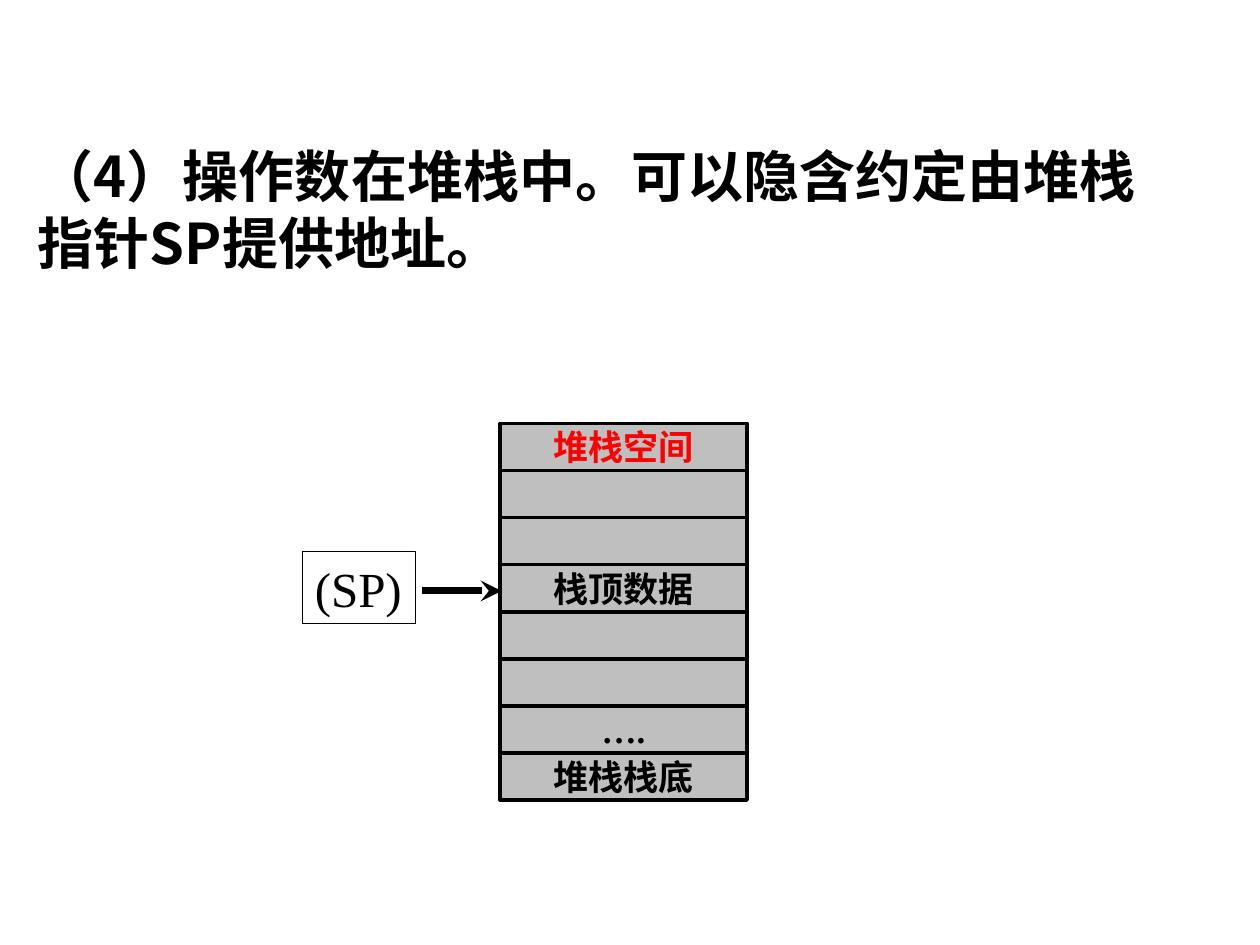
from lxml import etree
from pptx import Presentation
from pptx.dml.color import RGBColor
from pptx.enum.shapes import MSO_CONNECTOR, MSO_SHAPE
from pptx.enum.text import MSO_ANCHOR, MSO_AUTO_SIZE, PP_ALIGN
from pptx.oxml.ns import qn
from pptx.util import Inches, Pt

# Content
TITLE = "（4）操作数在堆栈中。可以隐含约定由堆栈指针SP提供地址。"
STACK_CELLS = ["堆栈空间", "", "", "栈顶数据", "", "", "….", "堆栈栈底"]
POINTER = "(SP)"

COLORS = {"text": "000000", "highlight": "FF0000", "cell": "BFBFBF"}
HAN_FONT = "Noto Sans CJK SC"
LATIN_FONT = "Times New Roman"

# Stack geometry in inches
STACK_LEFT, STACK_TOP = 3.97, 3.36
CELL_WIDTH, STACK_HEIGHT = 1.96, 2.99


def color(name):
    return RGBColor.from_string(COLORS[name])


def write(shape, text, size, font, bold, align, color_name="text"):
    paragraph = shape.text_frame.paragraphs[0]
    paragraph.text = text
    paragraph.alignment = align
    paragraph.font.size = Pt(size)
    paragraph.font.bold = bold
    paragraph.font.name = font
    paragraph.font.color.rgb = color(color_name)
    for span in paragraph.runs:
        east_asian = etree.SubElement(span.font._element, qn("a:ea"))
        east_asian.set("typeface", HAN_FONT)
    return paragraph


def add_box(page, left, top, width, height, line_width):
    box = page.shapes.add_shape(MSO_SHAPE.RECTANGLE, Inches(left), Inches(top),
                                Inches(width), Inches(height))
    box.shadow.inherit = False
    box.line.color.rgb = color("text")
    box.line.width = Pt(line_width)
    return box


deck = Presentation()
deck.slide_width, deck.slide_height = Inches(10), Inches(7.5)
page = deck.slides.add_slide(deck.slide_layouts[5])

# Title
title = page.shapes.title
title.left, title.top = Inches(0.2), Inches(1.07)
title.width, title.height = Inches(9.06), Inches(1.18)
title.text_frame.word_wrap = True
title.text_frame.auto_size = MSO_AUTO_SIZE.NONE
title.text_frame.vertical_anchor = MSO_ANCHOR.TOP
heading = write(title, TITLE, 32, HAN_FONT, True, PP_ALIGN.LEFT)
heading.line_spacing = Pt(38.5)

# Stack of memory cells
cell_height = STACK_HEIGHT / len(STACK_CELLS)
for row, label in enumerate(STACK_CELLS):
    cell = add_box(page, STACK_LEFT, STACK_TOP + row * cell_height,
                   CELL_WIDTH, cell_height, 2)
    cell.fill.solid()
    cell.fill.fore_color.rgb = color("cell")
    if label:
        frame = cell.text_frame
        frame.vertical_anchor = MSO_ANCHOR.MIDDLE
        frame.margin_top = frame.margin_bottom = 0
        write(cell, label, 20, LATIN_FONT, True, PP_ALIGN.CENTER,
              "text" if row else "highlight")

# Stack pointer and its arrow
pointer = add_box(page, 2.4, 4.38, 0.9, 0.57, 0.75)
pointer.fill.background()
pointer.text_frame.word_wrap = False
pointer.text_frame.vertical_anchor = MSO_ANCHOR.TOP
write(pointer, POINTER, 28, LATIN_FONT, False, PP_ALIGN.LEFT)

arrow = page.shapes.add_connector(MSO_CONNECTOR.STRAIGHT, Inches(3.35), Inches(4.69),
                                  Inches(3.98), Inches(4.69))
arrow.line.color.rgb = color("text")
arrow.line.width = Pt(4)
etree.SubElement(arrow.line._get_or_add_ln(), qn("a:tailEnd")).set("type", "stealth")
etree.SubElement(arrow._element.spPr, qn("a:effectLst"))

deck.save("out.pptx")
